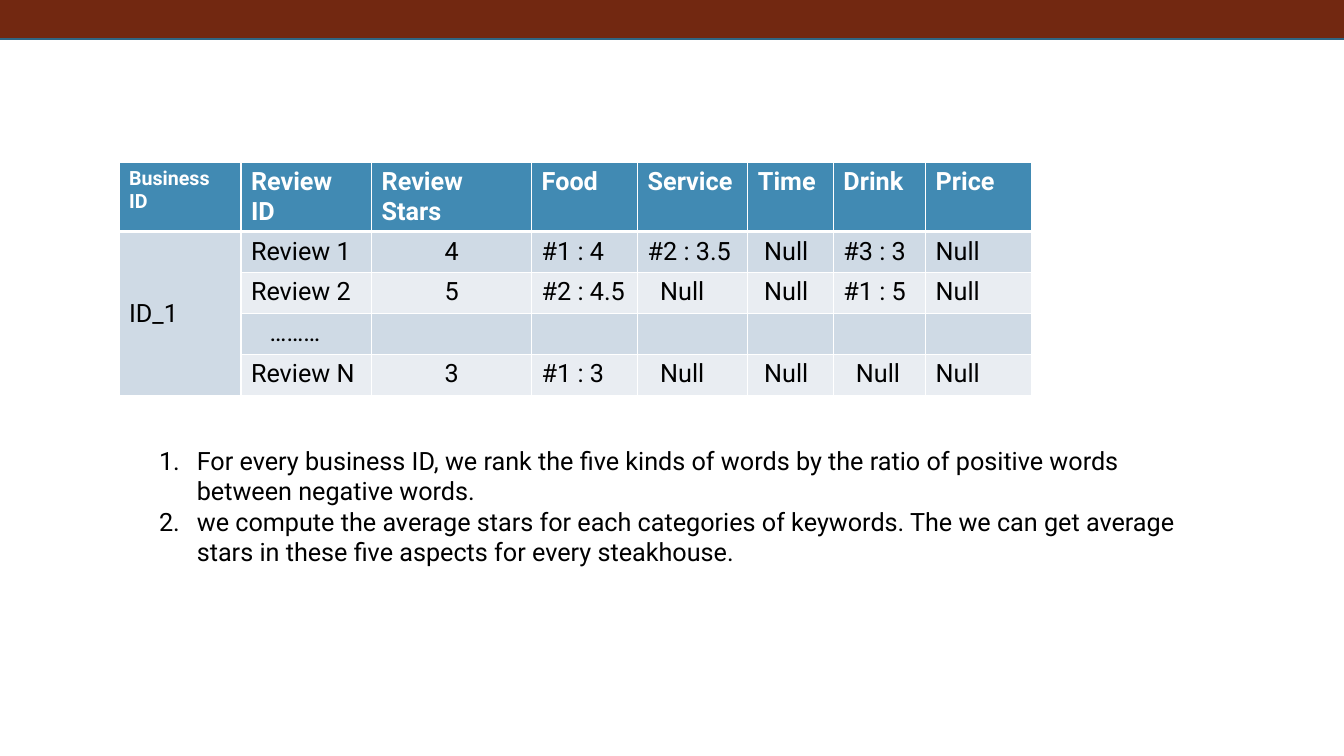
import dataclasses
import typing

import pptx
import pptx.dml.color
import pptx.enum.shapes
import pptx.enum.text
import pptx.oxml
import pptx.oxml.ns
import pptx.presentation
import pptx.slide
import pptx.table
import pptx.text.text
import pptx.util

Pt = pptx.util.Pt
Align = pptx.enum.text.PP_ALIGN
Anchor = pptx.enum.text.MSO_ANCHOR


@dataclasses.dataclass(frozen=True)
class Theme:
    face: str = "Roboto"
    body: float = 18
    small: float = 14
    black: str = "000000"
    white: str = "FFFFFF"
    bar: str = "722811"
    edge: str = "306684"
    head: str = "418AB3"
    bands: tuple[str, str] = ("CFDAE5", "E9EDF2")


@dataclasses.dataclass(frozen=True)
class Column:
    head: str
    width: float
    pad: float = 0
    size: float = Theme.body
    align: Align = Align.LEFT


THEME = Theme()
INSET = 7.2
SPACE = 4.46
HEAD_HIGH = 49.4
ROW_HIGH = 29.25
NULL = "Null"
DOTS = "………"

COLUMNS = [
    Column("Business ID", 87.1, size=THEME.small),
    Column("Review ID", 93.4, pad=3 * SPACE),
    Column("Review Stars", 114.3, align=Align.CENTER),
    Column("Food", 75.7),
    Column("Service", 78.8, pad=2 * SPACE),
    Column("Time", 61.1, pad=SPACE),
    Column("Drink", 65.9, pad=2 * SPACE),
    Column("Price", 76),
]

REVIEWS = [
    ["ID_1", "Review 1", "4", "#1 : 4", "#2 : 3.5", NULL, "#3 : 3", NULL],
    ["", "Review 2", "5", "#2 : 4.5", NULL, NULL, "#1 : 5", NULL],
    ["", DOTS, "", "", "", "", "", ""],
    ["", "Review N", "3", "#1 : 3", NULL, NULL, NULL, NULL],
]

NOTES = [
    "For every business ID, we rank the five kinds of words by the ratio of "
    "positive words between negative words.",
    "we compute the average stars for each categories of keywords. The we can get "
    "average stars in these five aspects for every steakhouse.",
]


def apply(item: typing.Any, values: dict[str, typing.Any]) -> None:
    for key, value in values.items():
        setattr(item, key, value)


def shade(code: str) -> pptx.dml.color.RGBColor:
    return pptx.dml.color.RGBColor.from_string(code)


def write(para: pptx.text.text._Paragraph, text: str, size: float,
          tint: str, bold: bool = False) -> None:
    run = para.add_run()
    run.text = text
    apply(run.font, {"name": THEME.face, "size": Pt(size), "bold": bold})
    run.font.color.rgb = shade(tint)


def border(cell: pptx.table._Cell, base: float) -> None:
    space = pptx.oxml.ns.nsdecls("a")
    props = cell._tc.get_or_add_tcPr()
    for side, width in {"L": 1, "R": 1, "T": 1, "B": base}.items():
        props.append(pptx.oxml.parse_xml(
            f'<a:ln{side} {space} w="{Pt(width)}"><a:solidFill>'
            f'<a:srgbClr val="{THEME.white}"/></a:solidFill></a:ln{side}>'))


def paint(cell: pptx.table._Cell, fill: str, base: float = 1) -> None:
    border(cell, base)
    cell.fill.solid()
    cell.fill.fore_color.rgb = shade(fill)


def draw_bar(slide: pptx.slide.Slide) -> None:
    bar = slide.shapes.add_shape(
        pptx.enum.shapes.MSO_SHAPE.RECTANGLE, Pt(-7.2), Pt(-8), Pt(976), Pt(36))
    bar.shadow.inherit = False
    bar.fill.solid()
    bar.fill.fore_color.rgb = shade(THEME.bar)
    bar.line.color.rgb = shade(THEME.edge)
    bar.line.width = Pt(1)


def draw_table(slide: pptx.slide.Slide) -> None:
    high = HEAD_HIGH + ROW_HIGH * len(REVIEWS)
    wide = sum(col.width for col in COLUMNS)
    grid = slide.shapes.add_table(
        len(REVIEWS) + 1, len(COLUMNS), Pt(85), Pt(116), Pt(wide), Pt(high)).table
    for row in grid.rows:
        row.height = Pt(ROW_HIGH)
    grid.rows[0].height = Pt(HEAD_HIGH)

    for across, col in enumerate(COLUMNS):
        grid.columns[across].width = Pt(col.width)
        head = grid.cell(0, across)
        paint(head, THEME.head, 3)
        write(head.text_frame.paragraphs[0], col.head, col.size, THEME.white, True)
        for down, review in enumerate(REVIEWS):
            cell = grid.cell(down + 1, across)
            text = review[across]
            paint(cell, THEME.bands[down % 2])
            para = cell.text_frame.paragraphs[0]
            para.alignment = col.align
            if text in (NULL, DOTS):
                cell.margin_left = Pt(INSET + col.pad)
            if text:
                write(para, text, THEME.body, THEME.black)

    group = grid.cell(1, 0)
    group.merge(grid.cell(len(REVIEWS), 0))
    group.vertical_anchor = Anchor.MIDDLE


def draw_notes(slide: pptx.slide.Slide) -> None:
    frame = slide.shapes.add_textbox(Pt(106.5), Pt(314.6), Pt(749.5), Pt(94.3)).text_frame
    apply(frame, {"word_wrap": True, "vertical_anchor": Anchor.TOP})
    for place, note in enumerate(NOTES):
        para = frame.add_paragraph() if place else frame.paragraphs[0]
        props = para._p.get_or_add_pPr()
        props.set("marL", str(Pt(27)))
        props.set("indent", str(Pt(-27)))
        props.append(pptx.oxml.parse_xml(
            f'<a:buAutoNum {pptx.oxml.ns.nsdecls("a")} type="arabicPeriod"/>'))
        write(para, note, THEME.body, THEME.black)


def main() -> None:
    deck = pptx.Presentation()
    apply(deck, {"slide_width": Pt(960), "slide_height": Pt(540)})
    slide = deck.slides.add_slide(deck.slide_layouts[6])
    draw_bar(slide)
    draw_table(slide)
    draw_notes(slide)
    deck.save("out.pptx")


if __name__ == "__main__":
    main()
